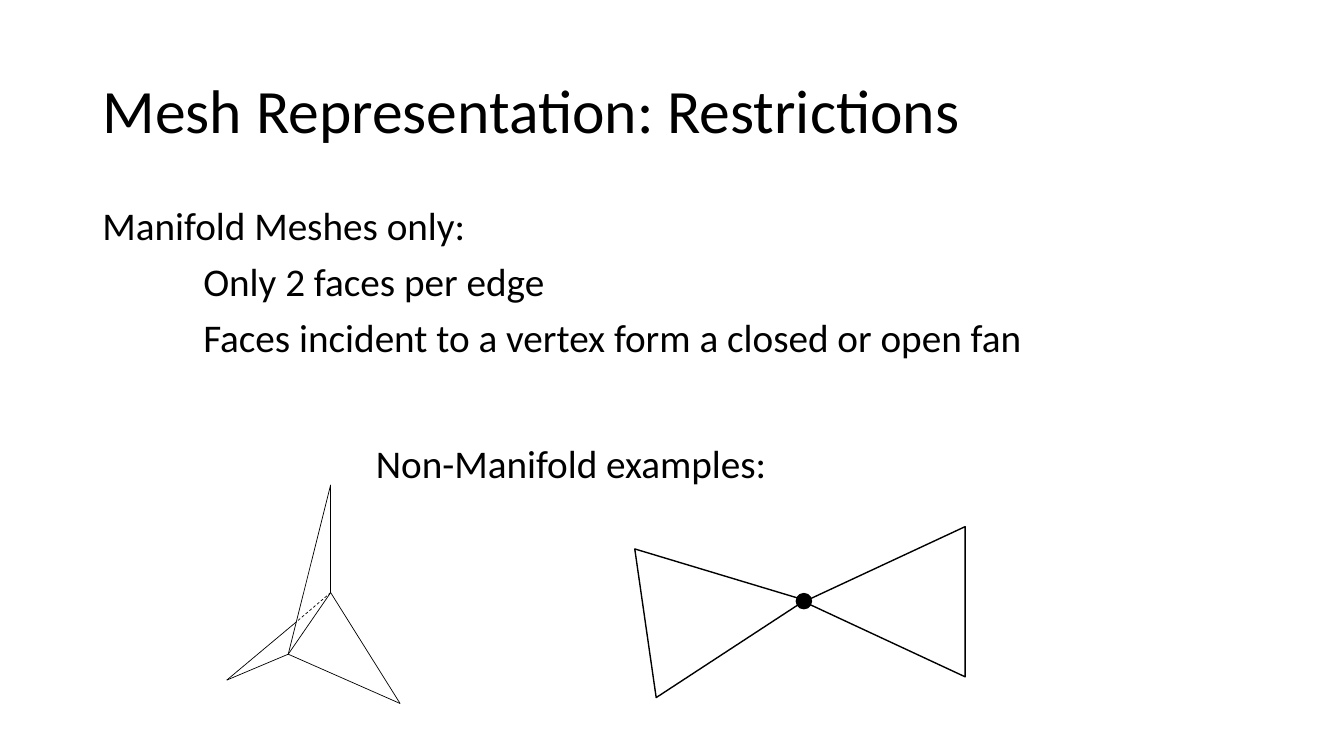
from lxml.etree import SubElement
from pptx import Presentation
from pptx.dml.color import RGBColor
from pptx.enum.dml import MSO_LINE
from pptx.enum.shapes import MSO_CONNECTOR, MSO_SHAPE
from pptx.enum.text import MSO_ANCHOR, MSO_AUTO_SIZE, PP_ALIGN
from pptx.oxml.ns import qn
from pptx.util import Pt

COLORS = {"ink": "000000", "paper": "FFFFFF"}
FONT = "Calibri"


def color(name):
    return RGBColor.from_string(COLORS[name])


def place(shape, box):
    shape.left, shape.top, shape.width, shape.height = map(Pt, box)


def style(para, size):
    para.alignment = PP_ALIGN.LEFT
    for run in para.runs:
        run.font.name = FONT
        run.font.size = Pt(size)
        run.font.color.rgb = color("ink")


def add_title(slide, box, text):
    title = slide.shapes.title
    place(title, box)
    frame = title.text_frame
    frame.text = text
    frame.auto_size = MSO_AUTO_SIZE.NONE
    frame.vertical_anchor = MSO_ANCHOR.MIDDLE
    para = frame.paragraphs[0]
    para.line_spacing = 0.9
    style(para, 44)


def add_body(slide, box, items):
    """Fill the body with (indent, text) items, without bullets."""
    body = slide.placeholders[1]
    place(body, box)
    frame = body.text_frame
    frame.text = "\n".join(text for _, text in items)
    frame.auto_size = MSO_AUTO_SIZE.NONE
    for para, (indent, _) in zip(frame.paragraphs, items):
        para.line_spacing = 0.9
        para.space_before = Pt(10)
        style(para, 28)
        props = para._p.get_or_add_pPr()
        props.set("marL", str(Pt(indent)))
        props.set("indent", "0")
        SubElement(props, qn("a:buNone"))


def add_label(slide, box, text):
    label = slide.shapes.add_textbox(*map(Pt, box))
    frame = label.text_frame
    frame.word_wrap = True
    frame.auto_size = MSO_AUTO_SIZE.SHAPE_TO_FIT_TEXT
    frame.text = text
    style(frame.paragraphs[0], 28)


def add_bowtie(slide, box):
    """Draw two triangles that share only one vertex."""
    left, top = box
    group = slide.shapes.add_group_shape()
    parts = [
        (MSO_SHAPE.ISOSCELES_TRIANGLE, (0, 7.2, 107.3, 115.2), 81.8),
        (MSO_SHAPE.ISOSCELES_TRIANGLE, (113.8, 0, 107.3, 115.2), 270),
        (MSO_SHAPE.OVAL, (104.4, 51.8, 10.8, 10.8), 0),
    ]
    for kind, (x, y, width, height), angle in parts:
        part = group.shapes.add_shape(
            kind, Pt(left + x), Pt(top + y), Pt(width), Pt(height))
        part.rotation = angle
        part.shadow.inherit = False
        part.line.color.rgb = color("ink")
        part.line.width = Pt(1)
        if kind == MSO_SHAPE.OVAL:
            part.fill.solid()
            part.fill.fore_color.rgb = color("ink")
        else:
            part.fill.background()


def add_fan(slide, box):
    """Draw three triangles that share one edge, from hub to base."""
    left, top = box
    group = slide.shapes.add_group_shape()
    points = {
        "tip": (74.2, 0), "hub": (74.2, 77), "base": (43.9, 121),
        "right": (123.8, 156.2), "left": (0, 139.5), "cross": (49.7, 97.9),
    }
    edges = [
        ("tip", "base"), ("hub", "base"), ("tip", "hub"), ("base", "right"),
        ("hub", "right"), ("cross", "left"), ("base", "left"),
        ("hub", "cross"),
    ]
    for start, end in edges:
        (x1, y1), (x2, y2) = points[start], points[end]
        edge = group.shapes.add_connector(
            MSO_CONNECTOR.STRAIGHT, Pt(left + x1), Pt(top + y1),
            Pt(left + x2), Pt(top + y2))
        edge.line.color.rgb = color("ink")
        edge.line.width = Pt(0.5)
        if (start, end) == ("hub", "cross"):
            edge.line.dash_style = MSO_LINE.DASH
        SubElement(edge._element.spPr, qn("a:effectLst"))


def main():
    deck = Presentation()
    deck.slide_width, deck.slide_height = Pt(960), Pt(540)
    slide = deck.slides.add_slide(deck.slide_layouts[1])
    slide.background.fill.solid()
    slide.background.fill.fore_color.rgb = color("paper")
    add_title(slide, (66, 28.8, 828, 104.4),
              "Mesh Representation: Restrictions")
    add_body(slide, (66, 143.8, 828, 342.7), [
        (0, "Manifold Meshes only:"),
        (72, "Only 2 faces per edge"),
        (72, "Faces incident to a vertex form a closed or open fan"),
    ])
    add_bowtie(slide, (464.4, 372.2))
    add_fan(slide, (162, 346.3))
    add_label(slide, (261.4, 310.3, 344.9, 41), "Non-Manifold examples:")
    deck.save("out.pptx")


if __name__ == "__main__":
    main()
